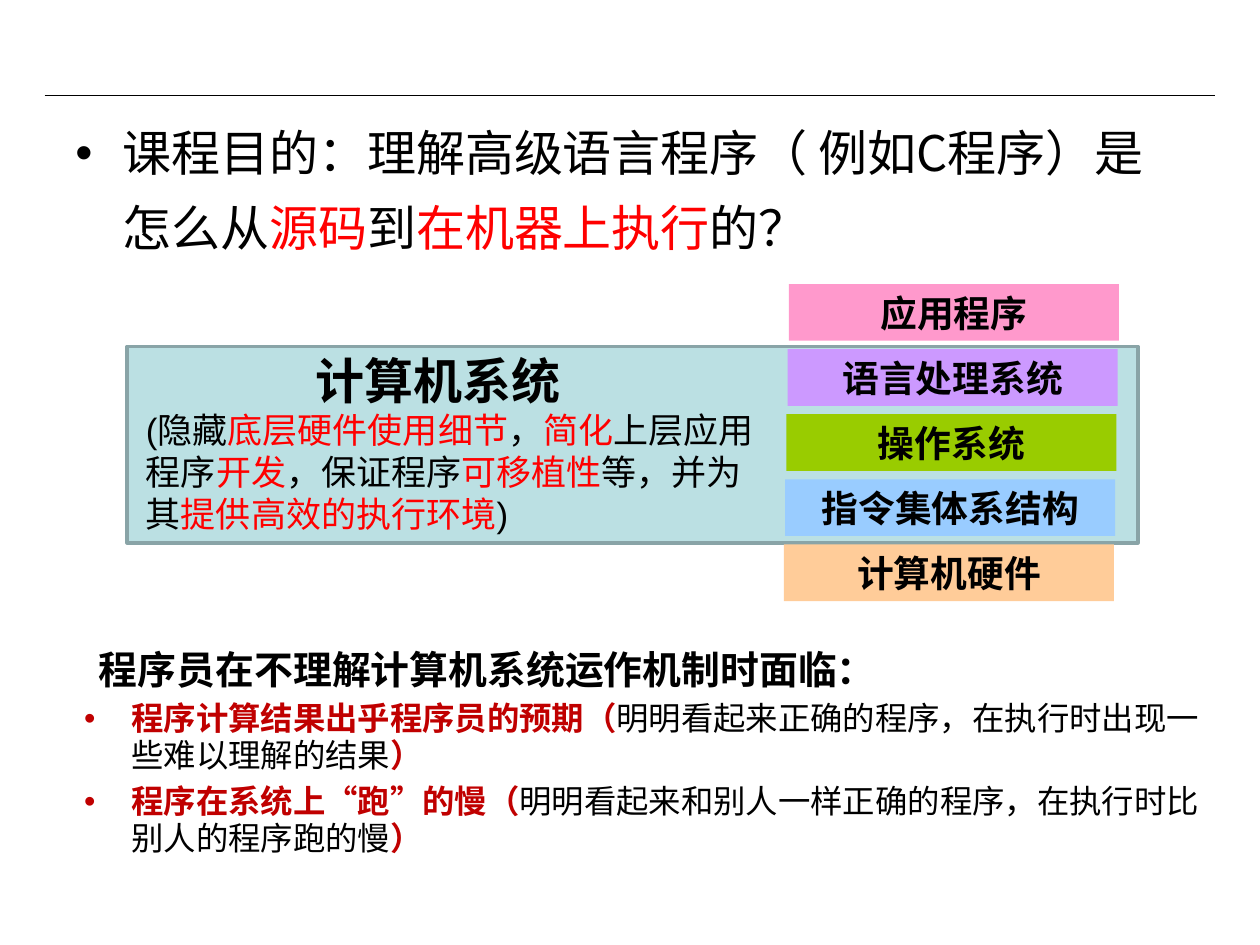
from lxml.etree import SubElement
from pptx import Presentation
from pptx.dml.color import RGBColor
from pptx.enum.shapes import MSO_CONNECTOR, MSO_SHAPE
from pptx.enum.text import MSO_ANCHOR, PP_ALIGN
from pptx.oxml.ns import qn
from pptx.util import Pt

COLORS = {
    "black": "000000", "red": "FF0000", "dark_red": "C00000",
    "panel": "BBE0E3", "panel_line": "89A4A7",
    "pink": "FF99CC", "purple": "CC99FF", "green": "99CC00",
    "blue": "99CCFF", "orange": "FFCC99",
}
CJK = "Noto Sans CJK SC"
LAYERS = [("应用程序", "pink"), ("语言处理系统", "purple"), ("操作系统", "green"),
          ("指令集体系结构", "blue"), ("计算机硬件", "orange")]
PROBLEMS = [
    ("程序计算结果出乎程序员的预期（", "明明看起来正确的程序，在执行时出现一些难以理解的结果"),
    ("程序在系统上“跑”的慢（", "明明看起来和别人一样正确的程序，在执行时比别人的程序跑的慢"),
]


def rgb(name):
    return RGBColor.from_string(COLORS[name])


def add_run(p, text, size=20, color="black", bold=False, font="Arial"):
    r = p.add_run()
    r.text = text
    r.font.size, r.font.bold, r.font.name = Pt(size), bold, font
    r.font.color.rgb = rgb(color)
    rPr = r.font._element
    rPr.set("lang", "zh-CN")
    SubElement(rPr, qn("a:ea")).set("typeface", CJK)


def add_highlighted(p, parts, **fmt):
    """Add runs that alternate between black and red."""
    for i, text in enumerate(parts):
        add_run(p, text, color="red" if i % 2 else "black", **fmt)


def set_bullet(p, color, indent=27):
    pPr = p._p.get_or_add_pPr()
    pPr.set("marL", str(Pt(indent)))
    pPr.set("indent", str(-Pt(indent)))
    SubElement(SubElement(pPr, qn("a:buClr")), qn("a:srgbClr")).set("val", COLORS[color])
    SubElement(pPr, qn("a:buFont")).set("typeface", "Arial")
    SubElement(pPr, qn("a:buChar")).set("char", "•")


def add_text_box(s, x, y, w, h):
    tf = s.shapes.add_textbox(Pt(x), Pt(y), Pt(w), Pt(h)).text_frame
    tf.word_wrap = True
    return tf


def add_box(s, x, y, w, h, fill, line=None):
    sp = s.shapes.add_shape(MSO_SHAPE.RECTANGLE, Pt(x), Pt(y), Pt(w), Pt(h))
    sp.shadow.inherit = False
    sp.fill.solid()
    sp.fill.fore_color.rgb = rgb(fill)
    if line:
        sp.line.color.rgb, sp.line.width = rgb(line), Pt(2)
    else:
        sp.line.fill.background()
    return sp


def add_rule(s, x, y, w):
    line = s.shapes.add_connector(MSO_CONNECTOR.STRAIGHT, Pt(x), Pt(y), Pt(x + w), Pt(y))
    line.line.color.rgb, line.line.width = rgb("black"), Pt(0.75)
    SubElement(line._element.spPr, qn("a:effectLst"))


def add_goal(s, x, y, w, h):
    p = add_text_box(s, x, y, w, h).paragraphs[0]
    p.line_spacing = 1.27
    p.space_before = Pt(2)
    set_bullet(p, "black")
    add_highlighted(p, ["课程目的：理解高级语言程序（ 例如C程序）是怎么从", "源码", "到",
                        "在机器上执行", "的？"], size=28, font=CJK)


def add_system_panel(s, x, y, w, h):
    add_box(s, x, y, w, h, "panel", "panel_line")
    p = add_text_box(s, x + 100, y - 1.5, 155, 41).paragraphs[0]
    p.alignment = PP_ALIGN.CENTER
    add_run(p, "计算机系统", size=28, bold=True)
    p = add_text_box(s, x + 3.6, y + 31.7, 371.5, 79).paragraphs[0]
    add_highlighted(p, ["(隐藏", "底层硬件使用细节", "，", "简化", "上层应用程序", "开发",
                        "，保证程序", "可移植性", "等，并为其", "提供高效的执行环境", ")"])


def add_layers(s, x, y, w, h, pitch=37.2, shift=-0.72):
    """Stack the layers downwards, each one shifted slightly sideways."""
    for i, (name, color) in enumerate(LAYERS):
        tf = add_box(s, x + i * shift, y + i * pitch, w, h, color).text_frame
        tf.margin_top = tf.margin_bottom = 0
        tf.vertical_anchor = MSO_ANCHOR.MIDDLE
        p = tf.paragraphs[0]
        p.alignment = PP_ALIGN.CENTER
        add_run(p, name, size=21, bold=True)


def add_problems(s, x, y, w, h):
    tf = add_text_box(s, x, y, w, h)
    p = tf.paragraphs[0]
    p.line_spacing, p.space_before = 0.85, Pt(6)
    p._p.get_or_add_pPr().set("marL", str(Pt(8.5)))
    add_run(p, "程序员在不理解计算机系统运作机制时面临：", size=22.2, bold=True)
    for claim, detail in PROBLEMS:
        p = tf.add_paragraph()
        p.line_spacing, p.space_before = 0.95, Pt(5)
        set_bullet(p, "dark_red")
        add_run(p, claim, size=18.5, color="dark_red", bold=True, font=CJK)
        add_run(p, detail, size=18.5, font=CJK)
        add_run(p, "）", size=18.5, color="dark_red", bold=True, font=CJK)


def main():
    prs = Presentation()
    prs.slide_width, prs.slide_height = Pt(720), Pt(540)
    s = prs.slides.add_slide(prs.slide_layouts[6])
    add_rule(s, 25.5, 54.5, 669)
    add_goal(s, 36, 57.6, 648, 391)
    add_system_panel(s, 72.7, 198, 577.5, 112.3)
    add_layers(s, 450.8, 162.3, 188.6, 32.4)
    add_problems(s, 41, 369.4, 662.4, 134.6)
    prs.save("out.pptx")


if __name__ == "__main__":
    main()
